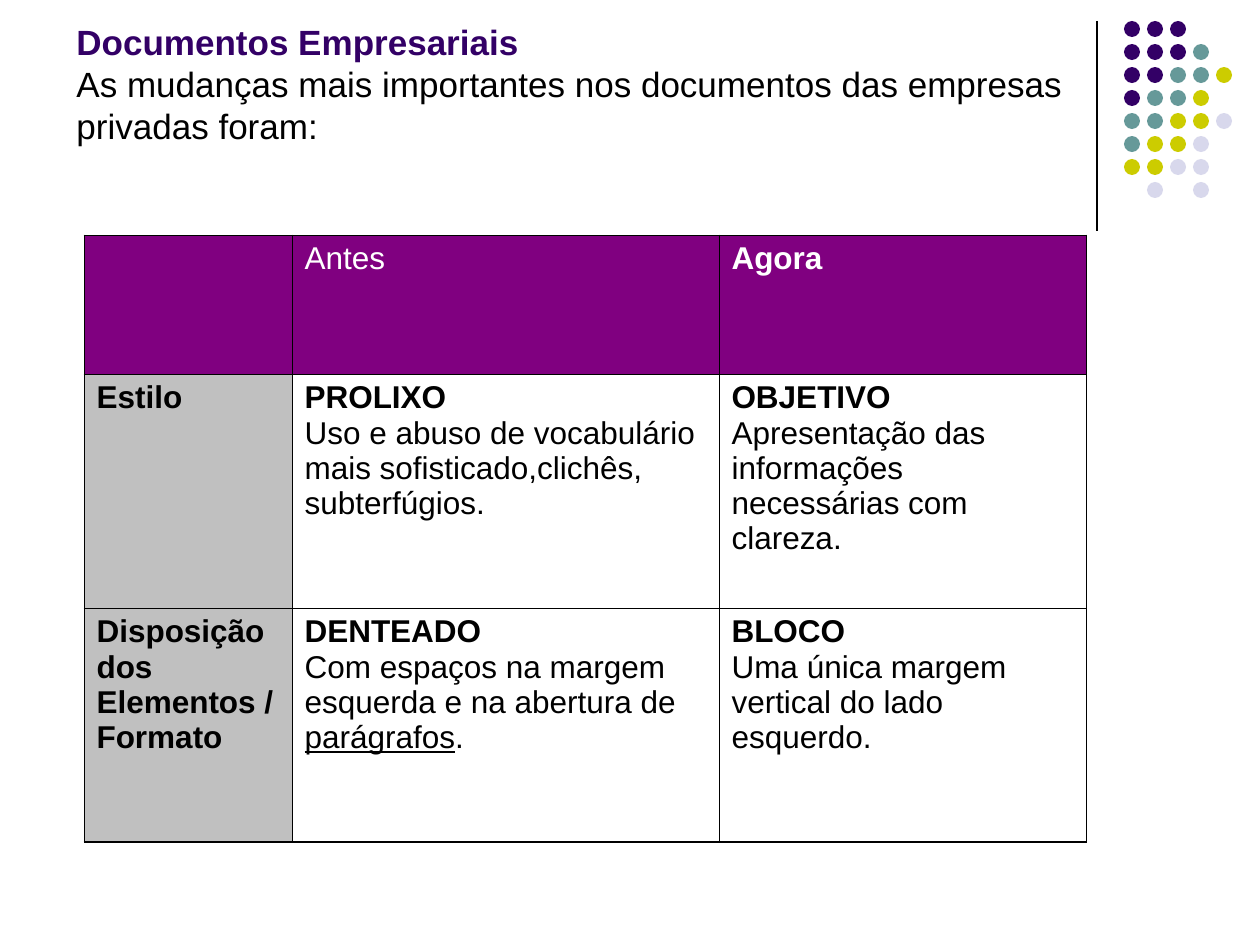
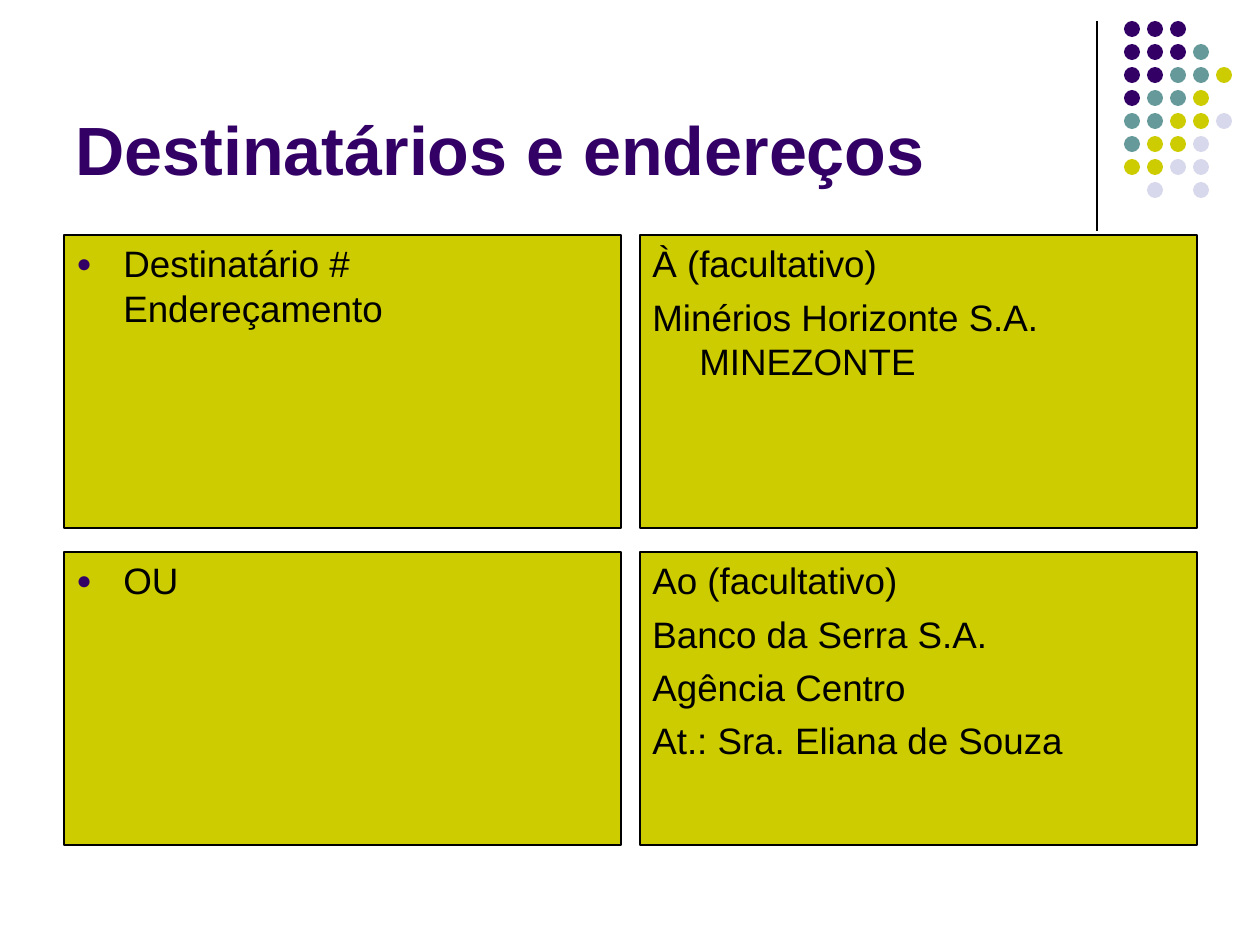
"""Build two slides on business documents: a before/now table and addressee boxes."""
from lxml import etree
from pptx import Presentation
from pptx.dml.color import RGBColor
from pptx.enum import shapes, text
from pptx.oxml import ns
from pptx import util as u

PURPLE = RGBColor(0x33, 0x00, 0x66)
TEAL = RGBColor(0x66, 0x99, 0x99)
OLIVE = RGBColor(0xCC, 0xCC, 0x00)
LILAC = RGBColor(0xD8, 0xD8, 0xEC)
HEADER = RGBColor(0x80, 0x00, 0x80)
GREY = RGBColor(0xC0, 0xC0, 0xC0)
BLACK = RGBColor(0x00, 0x00, 0x00)
WHITE = RGBColor(0xFF, 0xFF, 0xFF)

FONT = "Arial"
DOT_COLOURS = {"P": PURPLE, "T": TEAL, "O": OLIVE, "L": LILAC}
DOT_ROWS = ["PPP", "PPPT", "PPTTO", "PTTO", "TTOOL", "TOOL", "OOLL", " L L"]
DOT_SIZE, DOT_PITCH = 16, 23


def px(*lengths):
    """Turn pixels at 126 to the inch into EMU."""
    return [u.Emu(round(length * 914400 / 126)) for length in lengths]


def write(frame, lines, size):
    """Write (text, bold, colour) lines; words between underscores are underlined."""
    frame.word_wrap = True
    for index, (line, bold, colour) in enumerate(lines):
        paragraph = frame.add_paragraph() if index else frame.paragraphs[0]
        paragraph.alignment = text.PP_ALIGN.LEFT
        paragraph.font.name, paragraph.font.size = FONT, u.Pt(size)
        paragraph.font.bold, paragraph.font.color.rgb = bold, colour
        for part_index, part in enumerate(line.split("_")):
            run = paragraph.add_run()
            run.text = part
            if part_index % 2:
                run.font.underline = True


presentation = Presentation()
presentation.slide_width, presentation.slide_height = px(1260, 945)

titles = [
    ((64, 65, 1040, 128), 46, 20, [
        ("Documentos Empresariais", True, PURPLE),
        ("As mudanças mais importantes nos documentos das empresas privadas foram:", False, BLACK),
    ]),
    ((63, 16, 1040, 179), 6, 39, [("Destinatários e endereços", True, PURPLE)]),
]
for box, bottom_inset, size, lines in titles:
    slide = presentation.slides.add_slide(presentation.slide_layouts[6])

    divider = slide.shapes.add_connector(shapes.MSO_CONNECTOR.STRAIGHT, *px(1097, 21, 1097, 231))
    divider.line.color.rgb, divider.line.width = BLACK, u.Pt(0.75)
    etree.SubElement(divider.element.spPr, ns.qn("a:effectLst"))

    dots = slide.shapes.add_group_shape()
    for row, pattern in enumerate(DOT_ROWS):
        for column, key in enumerate(pattern):
            if key in DOT_COLOURS:
                dot = dots.shapes.add_shape(
                    shapes.MSO_SHAPE.OVAL,
                    *px(1124 + column * DOT_PITCH, 21 + row * DOT_PITCH, DOT_SIZE, DOT_SIZE))
                dot.shadow.inherit = False
                dot.fill.solid()
                dot.fill.fore_color.rgb = DOT_COLOURS[key]
                dot.line.fill.background()

    title = slide.shapes.add_textbox(*px(*box)).text_frame
    title.vertical_anchor = text.MSO_ANCHOR.BOTTOM
    title.margin_bottom = px(bottom_inset)[0]
    write(title, lines, size)

documents_slide, addressees_slide = presentation.slides

table_rows = [
    [[], [("Antes", False, WHITE)], [("Agora", True, WHITE)]],
    [
        [("Estilo", True, BLACK)],
        [("PROLIXO", True, BLACK),
         ("Uso e abuso de vocabulário mais sofisticado,clichês, subterfúgios.", False, BLACK)],
        [("OBJETIVO", True, BLACK),
         ("Apresentação das informações necessárias com clareza.", False, BLACK)],
    ],
    [
        [("Disposição dos Elementos / Formato", True, BLACK)],
        [("DENTEADO", True, BLACK),
         ("Com espaços na margem esquerda e na abertura de _parágrafos_.", False, BLACK)],
        [("BLOCO", True, BLACK),
         ("Uma única margem vertical do lado esquerdo.", False, BLACK)],
    ],
]
table = documents_slide.shapes.add_table(3, 3, *px(84, 235, 1002, 607)).table
table.first_row = table.horz_banding = False
for column, width in zip(table.columns, px(208, 427, 367)):
    column.width = width
for row, height in zip(table.rows, px(139, 234, 234)):
    row.height = height

for row, contents in enumerate(table_rows):
    for column, lines in enumerate(contents):
        cell = table.cell(row, column)
        cell.fill.solid()
        cell.fill.fore_color.rgb = HEADER if row == 0 else GREY if column == 0 else WHITE
        write(cell.text_frame, lines, 18)
        borders = {"lnL": 0.34, "lnR": 0.34, "lnT": 0.45, "lnB": 0.96 if row == 2 else 0.45}
        properties = cell._tc.get_or_add_tcPr()
        for position, (side, points) in enumerate(borders.items()):
            border = etree.Element(ns.qn(f"a:{side}"), w=str(u.Pt(points)))
            fill = etree.SubElement(border, ns.qn("a:solidFill"))
            etree.SubElement(fill, ns.qn("a:srgbClr"), val=str(BLACK))
            properties.insert(position, border)

address_boxes = [
    ["Destinatário # Endereçamento"],
    ["À (facultativo)", "Minérios Horizonte S.A. MINEZONTE"],
    ["OU"],
    ["Ao (facultativo)", "Banco da Serra S.A.", "Agência Centro", "At.: Sra. Eliana de Souza"],
]
for index, lines in enumerate(address_boxes):
    row, column = divmod(index, 2)
    shape = addressees_slide.shapes.add_shape(
        shapes.MSO_SHAPE.RECTANGLE, *px(64 + column * 576, 235 + row * 317, 557, 293))
    shape.shadow.inherit = False
    shape.fill.solid()
    shape.fill.fore_color.rgb = OLIVE
    shape.line.color.rgb, shape.line.width = BLACK, u.Pt(0.75)
    frame = shape.text_frame
    frame.vertical_anchor = text.MSO_ANCHOR.TOP
    write(frame, [(line, False, BLACK) for line in lines], 21)
    for number, paragraph in enumerate(frame.paragraphs):
        paragraph.space_before = u.Pt(5.2 if number else 0)
        properties = paragraph._p.get_or_add_pPr()
        indent = px(47)[0]
        properties.set("marL", str(indent))
        properties.set("indent", str(-indent))
        if column == 0:
            colour = etree.Element(ns.qn("a:buClr"))
            etree.SubElement(colour, ns.qn("a:srgbClr"), val=str(PURPLE))
            bullet = [colour,
                      etree.Element(ns.qn("a:buSzPct"), val="70000"),
                      etree.Element(ns.qn("a:buFont"), typeface=FONT),
                      etree.Element(ns.qn("a:buChar"), char="●")]
            for element in bullet:
                properties.find(ns.qn("a:defRPr")).addprevious(element)

presentation.save("out.pptx")
